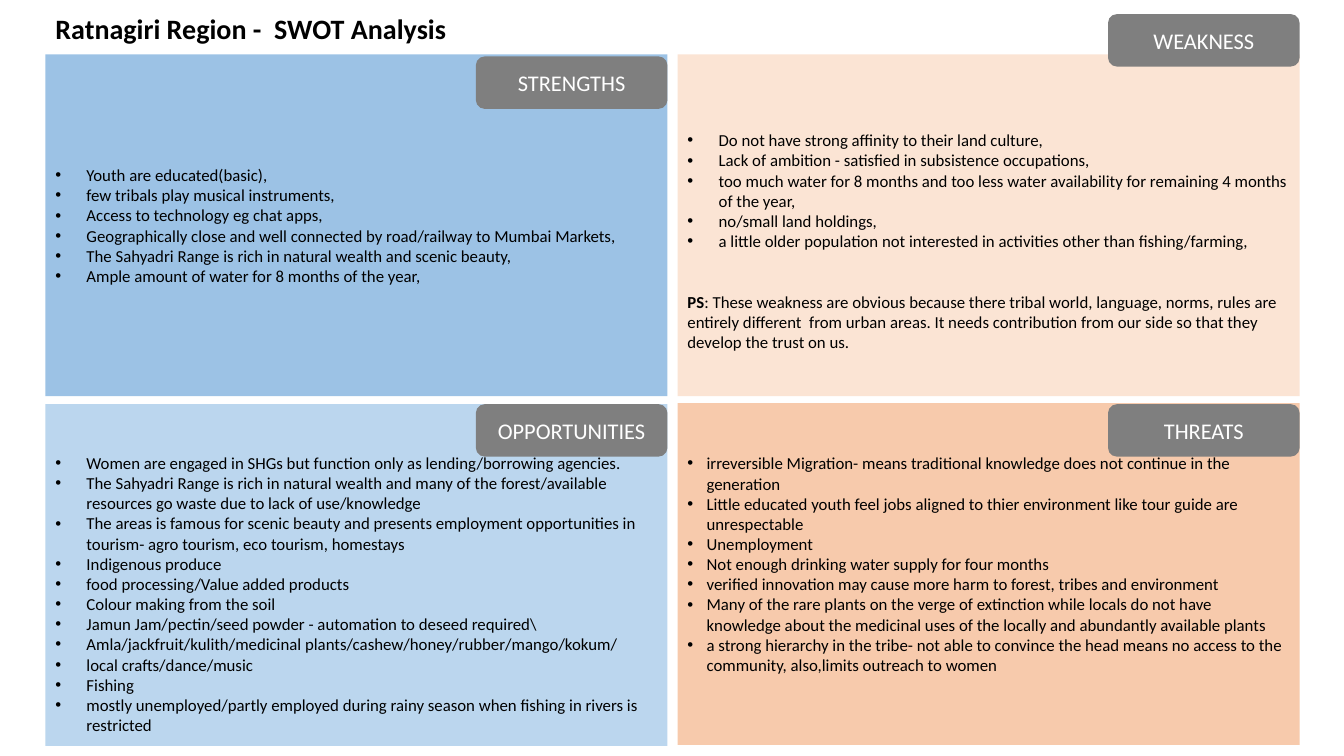
from lxml import etree
from pptx import Presentation
from pptx.dml.color import RGBColor
from pptx.enum import shapes, text
from pptx.oxml import ns
from pptx.util import Inches, Pt

PANEL_WIDTH, PANEL_HEIGHT = 6.17, 3.39
TAG_WIDTH, TAG_HEIGHT = 1.9, 0.52
LEFT_COLUMN, RIGHT_COLUMN = 0.45, 6.72

STRENGTHS = [
    "Youth are educated(basic),",
    "few tribals play musical instruments,",
    "Access to technology eg chat apps,",
    "Geographically close and well connected by road/railway to Mumbai Markets,",
    "The Sahyadri Range is rich in natural wealth and scenic beauty,",
    "Ample amount of water for 8 months of the year,",
]
OPPORTUNITIES = [
    "Women are engaged in SHGs but function only as lending/borrowing agencies.",
    "The Sahyadri Range is rich in natural wealth and many of the forest/available "
    "resources go waste due to lack of use/knowledge",
    "The areas is famous for scenic beauty and presents employment opportunities in "
    "tourism- agro tourism, eco tourism, homestays",
    "Indigenous produce",
    "food processing/Value added products",
    "Colour making from the soil",
    "Jamun Jam/pectin/seed powder - automation to deseed required\\",
    "Amla/jackfruit/kulith/medicinal plants/cashew/honey/rubber/mango/kokum/",
    "local crafts/dance/music",
    "Fishing",
    "mostly unemployed/partly employed during rainy season when fishing in rivers is "
    "restricted",
]
WEAKNESSES = [
    "Do not have strong affinity to their land culture,",
    "Lack of ambition - satisfied in subsistence occupations,",
    "too much water for 8 months and too less water availability for remaining 4 months "
    "of the year,",
    "no/small land holdings,",
    "a little older population not interested in activities other than fishing/farming,",
]
WEAKNESS_NOTE = (
    ": These weakness are obvious because there tribal world, language, norms, rules are "
    "entirely different  from urban areas. It needs contribution from our side so that they "
    "develop the trust on us."
)
THREATS = [
    "irreversible Migration- means traditional knowledge does not continue in the generation",
    "Little educated youth feel jobs aligned to thier environment like tour guide are "
    "unrespectable",
    "Unemployment",
    "Not enough drinking water supply for four months",
    "verified innovation may cause more harm to forest, tribes and environment",
    "Many of the rare plants on the verge of extinction while locals do not have "
    "knowledge about the medicinal uses of the locally and abundantly available plants",
    "a strong hierarchy in the tribe- not able to convince the head means no access to the "
    "community, also,limits outreach to women",
]


def color(hex_string):
    return RGBColor.from_string(hex_string)


def format_paragraph(paragraph, size, hex_string, alignment=text.PP_ALIGN.LEFT, bold=False):
    paragraph.alignment = alignment
    font = paragraph.font
    font.name, font.size, font.bold = "Calibri", Pt(size), bold
    font.color.rgb = color(hex_string)


def add_bullet(paragraph, indent):
    properties = paragraph._p.get_or_add_pPr()
    properties.set("marL", str(Inches(indent)))
    properties.set("indent", str(-Inches(indent)))
    etree.SubElement(properties, ns.qn("a:buFont")).set("typeface", "Arial")
    etree.SubElement(properties, ns.qn("a:buChar")).set("char", "•")


def add_box(slide, kind, left, top, width, height, fill):
    shape = slide.shapes.add_shape(
        kind, Inches(left), Inches(top), Inches(width), Inches(height))
    shape.shadow.inherit = False
    shape.fill.solid()
    shape.fill.fore_color.rgb = color(fill)
    shape.line.fill.background()
    shape.text_frame.word_wrap = True
    shape.text_frame.vertical_anchor = text.MSO_ANCHOR.MIDDLE
    return shape


def add_panel(slide, left, top, fill, items, indent=0.31, inset_top=0.05, inset_bottom=0.05):
    panel = add_box(slide, shapes.MSO_SHAPE.RECTANGLE, left, top,
                    PANEL_WIDTH, PANEL_HEIGHT, fill)
    frame = panel.text_frame
    frame.margin_top, frame.margin_bottom = Inches(inset_top), Inches(inset_bottom)
    for index, item in enumerate(items):
        paragraph = frame.add_paragraph() if index else frame.paragraphs[0]
        paragraph.text = item
        add_bullet(paragraph, indent)
        format_paragraph(paragraph, 12, "000000")
    return panel


def add_note(panel, lead, note):
    paragraph = panel.text_frame.add_paragraph()
    format_paragraph(paragraph, 12, "000000")
    paragraph.space_before = Pt(29)
    lead_run = paragraph.add_run()
    lead_run.text = lead
    lead_run.font.bold = True
    paragraph.add_run().text = note


def add_tag(slide, panel_left, top, label):
    left = panel_left + PANEL_WIDTH - TAG_WIDTH
    tag = add_box(slide, shapes.MSO_SHAPE.ROUNDED_RECTANGLE, left, top,
                  TAG_WIDTH, TAG_HEIGHT, "7F7F7F")
    paragraph = tag.text_frame.paragraphs[0]
    paragraph.text = label
    format_paragraph(paragraph, 16, "FFFFFF", text.PP_ALIGN.CENTER)


def set_title(slide, wording):
    title = slide.shapes.title
    title.left, title.top = Inches(LEFT_COLUMN), Inches(0.06)
    title.width, title.height = Inches(7.8), Inches(0.44)
    frame = title.text_frame
    frame.text = wording
    frame.vertical_anchor = text.MSO_ANCHOR.TOP
    frame.auto_size = text.MSO_AUTO_SIZE.NONE
    format_paragraph(frame.paragraphs[0], 20, "000000", bold=True)


def main():
    presentation = Presentation()
    presentation.slide_width, presentation.slide_height = Inches(13.33), Inches(7.5)
    slide = presentation.slides.add_slide(presentation.slide_layouts[5])
    set_title(slide, "Ratnagiri Region -  SWOT Analysis")

    # Four panels
    add_panel(slide, LEFT_COLUMN, 0.54, "9CC2E5", STRENGTHS)
    add_panel(slide, LEFT_COLUMN, 4.01, "BBD6EE", OPPORTUNITIES, inset_top=0.42)
    weakness = add_panel(slide, RIGHT_COLUMN, 0.54, "FBE4D4", WEAKNESSES, inset_top=0.36)
    add_note(weakness, "PS", WEAKNESS_NOTE)
    add_panel(slide, RIGHT_COLUMN, 4, "F7CAAC", THREATS, indent=0.19, inset_bottom=0.25)

    # Heading tags, right-aligned with their panels
    add_tag(slide, LEFT_COLUMN, 0.56, "STRENGTHS")
    add_tag(slide, RIGHT_COLUMN, 0.14, "WEAKNESS")
    add_tag(slide, LEFT_COLUMN, 4.01, "OPPORTUNITIES")
    add_tag(slide, RIGHT_COLUMN, 4.01, "THREATS")

    presentation.save("out.pptx")


if __name__ == "__main__":
    main()
